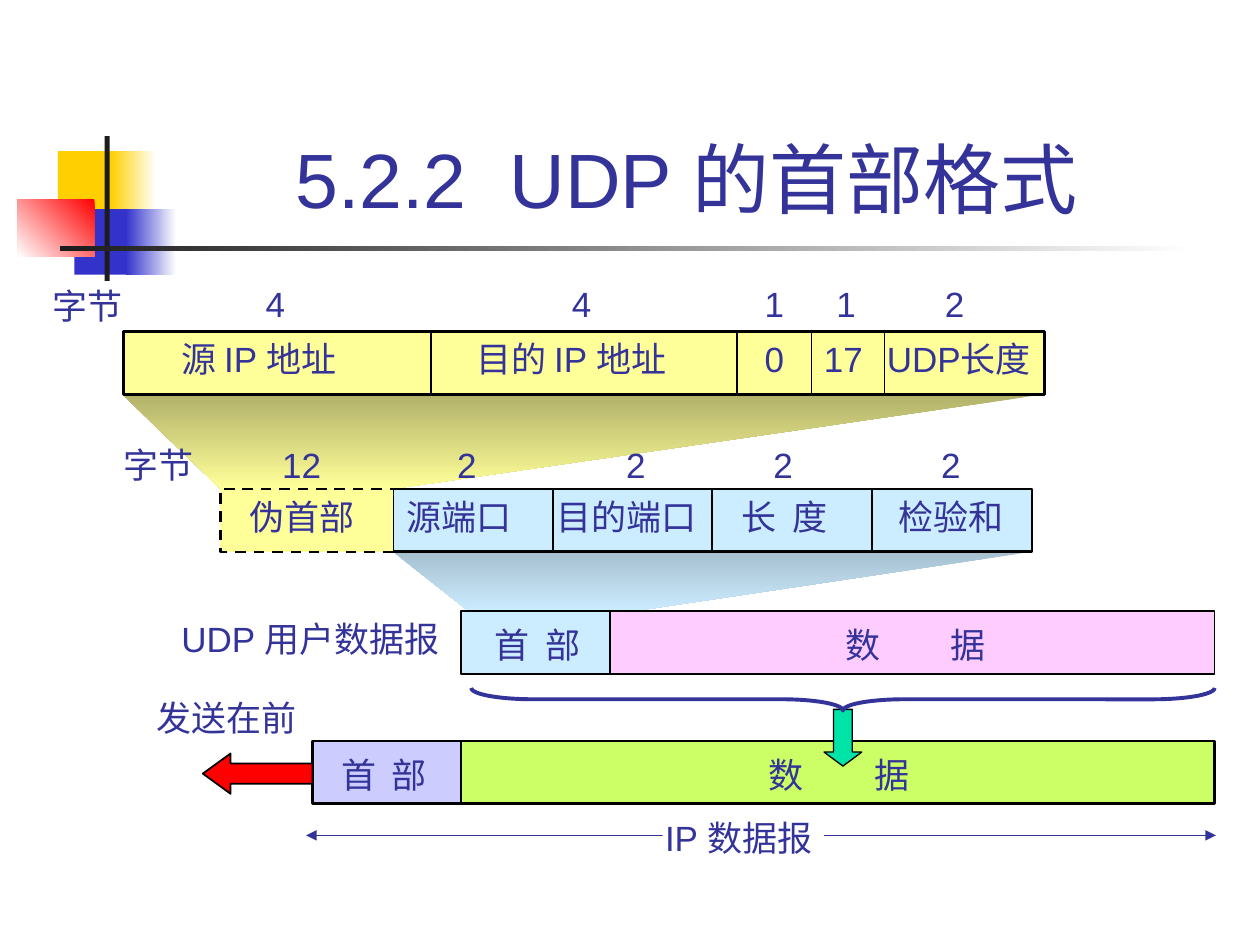
"""Build the slide that explains the UDP header format."""
from itertools import accumulate

from lxml import etree
from pptx import Presentation
from pptx.dml.color import RGBColor
from pptx.enum.dml import MSO_LINE
from pptx.enum.shapes import MSO_CONNECTOR, MSO_SHAPE
from pptx.enum.text import MSO_ANCHOR, MSO_AUTO_SIZE, PP_ALIGN
from pptx.oxml.ns import qn
from pptx.util import Inches, Pt

RECT, BRACE = MSO_SHAPE.RECTANGLE, MSO_SHAPE.RIGHT_BRACE
LEFT_ARROW, DOWN_ARROW = MSO_SHAPE.LEFT_ARROW, MSO_SHAPE.DOWN_ARROW
STRAIGHT, DASH = MSO_CONNECTOR.STRAIGHT, MSO_LINE.DASH
LEFT, CENTER, BOTTOM = PP_ALIGN.LEFT, PP_ALIGN.CENTER, MSO_ANCHOR.BOTTOM
GROW, NO_FIT = MSO_AUTO_SIZE.SHAPE_TO_FIT_TEXT, MSO_AUTO_SIZE.NONE

INK, BLACK, WHITE = "333399", "000000", "FFFFFF"
YELLOW, BLUE = "FFFF99", "CCECFF"
ROW_HEIGHT = 0.5
PSEUDO_TOP, UDP_TOP, DATAGRAM_TOP, IP_TOP = 2.63, 3.88, 4.85, 5.88
PSEUDO_LEFT, UDP_LEFT = 0.98, 3.12
PSEUDO_WIDTHS = [2.44, 2.43, 0.59, 0.58, 1.27]
UDP_WIDTHS = [1.27, 1.26, 1.27, 1.27]

TITLE = "5.2.2  UDP 的首部格式 "
DECORATION = [
    ((0.46, 1.2, 0.48, 0.52), "FFCF01"),
    ((0.88, 1.2, 0.36, 0.52), (WHITE, "FFCF01", 180)),
    ((0.59, 1.66, 0.46, 0.52), "3333CC"),
    ((1, 1.66, 0.4, 0.52), (WHITE, "3333CC", 180)),
    ((0.14, 1.58, 0.61, 0.46), ("FF0000", WHITE, 225)),
    ((0.83, 1.08, 0.04, 1.15), "1C1C1C"),
    ((0.48, 1.95, 9, 0.04), (WHITE, "1C1C1C", 180)),
]
FUNNELS = [
    ([(0.97, 3.13), (8.28, 3.13), (3.12, 3.88), (1.75, 3.88)], ("B1B16A", YELLOW, 270)),
    ([(3.12, 4.38), (8.18, 4.38), (4.97, 4.86), (3.72, 4.85)], ("A6C0D0", BLUE, 270)),
]
PSEUDO_LINK = [(3.12, 4.38), (1.75, 4.38), (1.75, 3.88), (3.12, 3.88)]
BARS = [
    (PSEUDO_LEFT, PSEUDO_TOP, sum(PSEUDO_WIDTHS), YELLOW, 1.5),
    (UDP_LEFT, UDP_TOP, sum(UDP_WIDTHS), BLUE, 1.5),
    (3.66, DATAGRAM_TOP, 1.18, BLUE, 1),
    (4.84, DATAGRAM_TOP, 4.8, "FFCCFF", 1),
    (3.66, IP_TOP, 5.98, "CCFF66", 1.5),
    (2.48, IP_TOP, 1.18, "CCCCFF", 1.5),
]
CELL_ROWS = [
    (PSEUDO_LEFT, PSEUDO_TOP, PSEUDO_WIDTHS),
    (UDP_LEFT, UDP_TOP, UDP_WIDTHS),
]
LABEL_ROWS = {
    2.21: [("字节", 0.32, 0.78)],
    2.19: [("4", 2.01, 0.35), ("4", 4.44, 0.35), ("1", 5.97, 0.35),
           ("1", 6.54, 0.35), ("2", 7.4, 0.35)],
    PSEUDO_TOP: [("源 IP 地址", 1.34, 1.57), ("目的 IP 地址", 3.68, 1.85),
                 ("0", 5.97, 0.35), ("17", 6.44, 0.51), ("UDP长度", 6.94, 1.41)],
    3.47: [("字节", 0.88, 0.78), ("12", 2.14, 0.51), ("2", 3.53, 0.35),
           ("2", 4.87, 0.35), ("2", 6.04, 0.35), ("2", 7.37, 0.35)],
    UDP_TOP: [("伪首部", 1.88, 1.06), ("源端口", 3.13, 1.06), ("目的端口", 4.32, 1.33),
              ("长  度", 5.79, 0.88), ("检验和", 7.03, 1.06)],
    DATAGRAM_TOP: [("UDP 用户数据报", 1.34, 2.32)],
    4.9: [("首  部", 3.83, 0.88), ("数         据", 6.61, 1.32)],
    5.48: [("发送在前", 1.14, 1.33)],
    5.93: [("首  部", 2.61, 0.88), ("数         据", 6, 1.32)],
    6.43: [("IP 数据报", 5.18, 1.44)],
}


def rgb(value):
    return RGBColor.from_string(value)


def paint(shape, fill=None, line=None, weight=1, dash=None):
    shape.shadow.inherit = False
    if fill is None:
        shape.fill.background()
    elif isinstance(fill, str):
        shape.fill.solid()
        shape.fill.fore_color.rgb = rgb(fill)
    else:
        *colours, angle = fill
        shape.fill.gradient()
        shape.fill.gradient_angle = angle
        for stop, colour in zip(shape.fill.gradient_stops, colours):
            stop.color.rgb = rgb(colour)
    if line is None:
        shape.line.fill.background()
    else:
        shape.line.color.rgb = rgb(line)
        shape.line.width = Pt(weight)
        if dash:
            shape.line.dash_style = dash


def add_preset(slide, kind, box, adjustments=(), rotation=0, **style):
    shape = slide.shapes.add_shape(kind, *map(Inches, box))
    for index, value in enumerate(adjustments):
        shape.adjustments[index] = value
    shape.rotation = rotation
    paint(shape, **style)


def add_outline(slide, points, close=True, **style):
    start, *rest = [(Inches(x), Inches(y)) for x, y in points]
    builder = slide.shapes.build_freeform(*start)
    builder.add_line_segments(rest, close=close)
    paint(builder.convert_to_shape(), **style)


def add_line(slide, start, end, colour=BLACK, arrows=False):
    line = slide.shapes.add_connector(STRAIGHT, *map(Inches, start + end))
    line.line.color.rgb = rgb(colour)
    line.line.width = Pt(0.75)
    if arrows:
        outline = line.line._get_or_add_ln()
        for tag in ("a:headEnd", "a:tailEnd"):
            etree.SubElement(outline, qn(tag), type="triangle")
    etree.SubElement(line._element.spPr, qn("a:effectLst"))


def write(shape, text, size=20, align=LEFT, wrap=False, fit=GROW):
    frame = shape.text_frame
    frame.auto_size = fit
    frame.word_wrap = wrap
    paragraph = frame.paragraphs[0]
    paragraph.alignment = align
    run = paragraph.add_run()
    run.text = text
    run.font.size = Pt(size)
    run.font.name = "Arial"
    run.font.color.rgb = rgb(INK)


def add_title(slide):
    title = slide.shapes.title
    title.left, title.top, title.width, title.height = map(Inches, (1.26, 0.23, 8.52, 1.6))
    title.text_frame.vertical_anchor = BOTTOM
    write(title, TITLE, size=44, align=CENTER, wrap=True, fit=NO_FIT)


def main():
    deck = Presentation()
    deck.slide_width, deck.slide_height = Inches(10), Inches(7.5)
    slide = deck.slides.add_slide(deck.slide_layouts[5])
    add_title(slide)
    for box, fill in DECORATION:
        add_preset(slide, RECT, box, fill=fill)
    for points, fill in FUNNELS:
        add_outline(slide, points, fill=fill)
    for left, top, width, fill, weight in BARS:
        add_preset(slide, RECT, (left, top, width, ROW_HEIGHT),
                   fill=fill, line=BLACK, weight=weight)
    for left, top, widths in CELL_ROWS:
        for x in list(accumulate(widths, initial=left))[1:-1]:
            add_line(slide, (x, top), (x, top + ROW_HEIGHT))
    add_outline(slide, PSEUDO_LINK, close=False, fill=YELLOW, line=BLACK,
                weight=1.5, dash=DASH)
    add_preset(slide, LEFT_ARROW, (1.61, 5.98, 0.87, 0.32), (0.5, 0.69),
               fill="FF0000", line=BLACK)
    add_line(slide, (2.43, 6.63), (9.65, 6.63), colour=INK, arrows=True)
    add_preset(slide, RECT, (5.26, 6.46, 1.28, 0.32), fill=WHITE)
    add_preset(slide, DOWN_ARROW, (6.54, 5.63, 0.3, 0.45), (0.5, 0.37),
               fill="00E4A8", line=BLACK, weight=0.75)
    add_preset(slide, BRACE, (6.6, 2.6, 0.18, 5.9), (2.7, 0.5), rotation=90,
               line=INK, weight=2.25)
    for top, labels in LABEL_ROWS.items():
        for text, left, width in labels:
            box = slide.shapes.add_textbox(*map(Inches, (left, top, width, 0.44)))
            write(box, text)
    deck.save("out.pptx")


if __name__ == "__main__":
    main()
